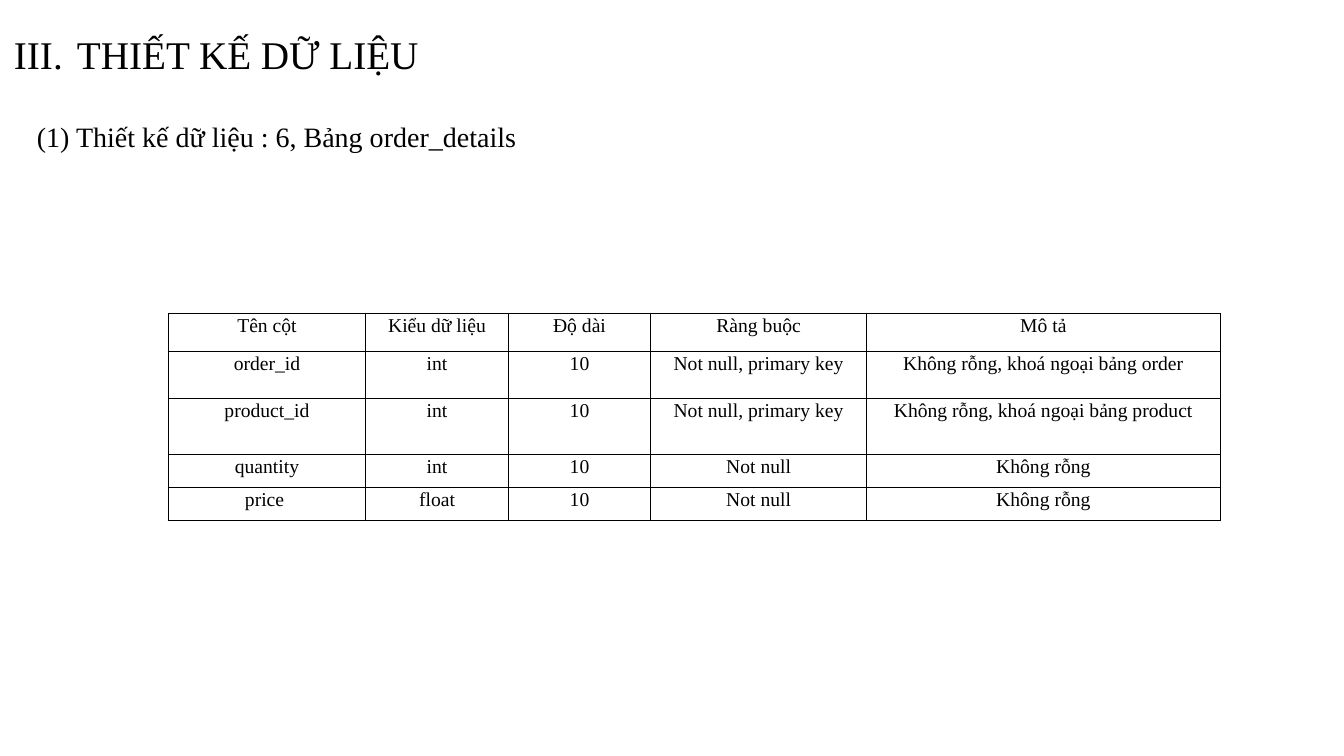
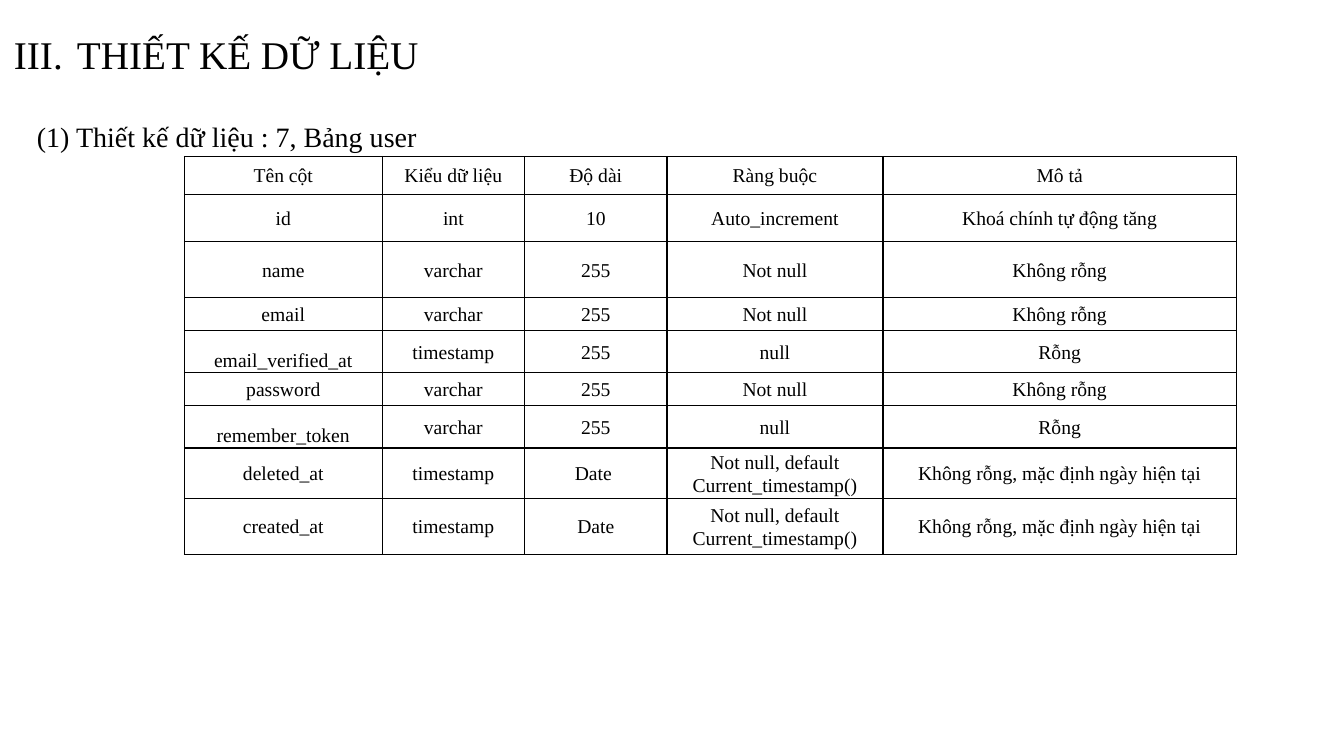
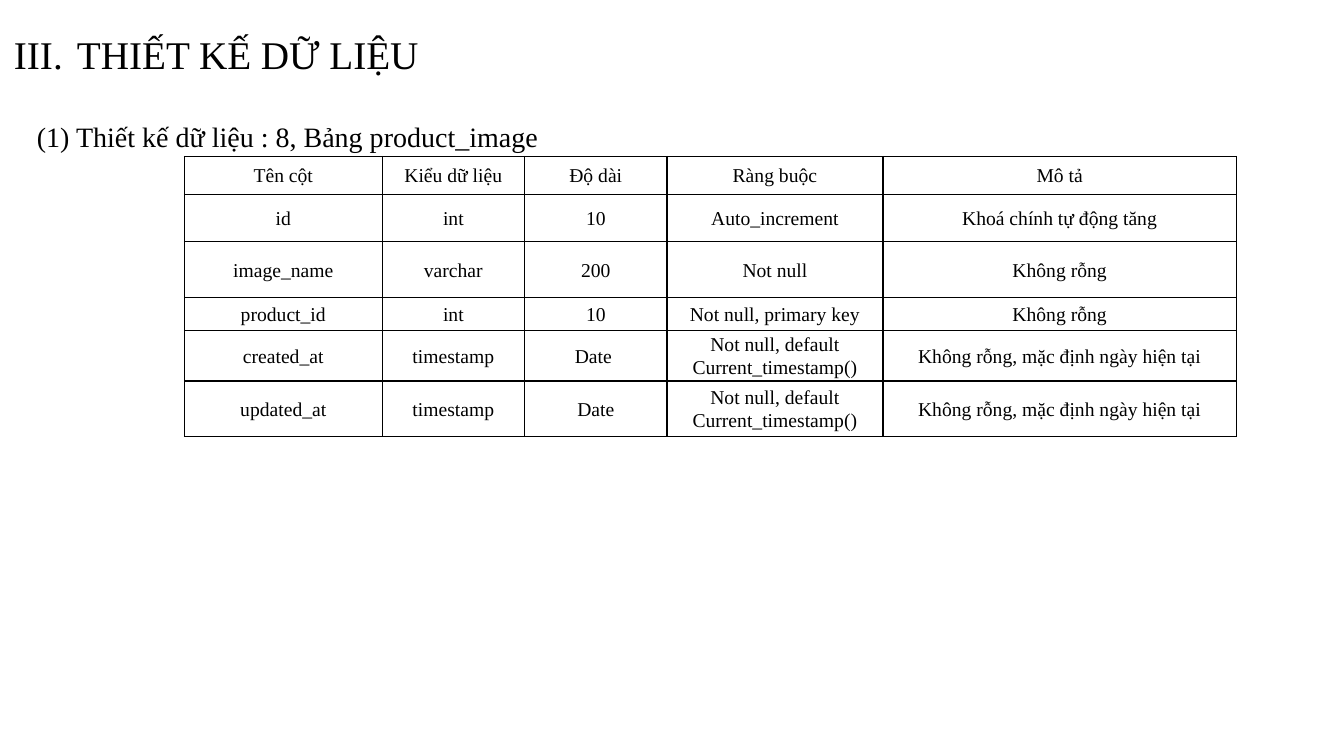
import pptx
import pptx.dml.color
import pptx.enum.text
import pptx.oxml.ns
import pptx.util
from lxml import etree

Cm = pptx.util.Cm
Pt = pptx.util.Pt
ANCHOR = pptx.enum.text.MSO_ANCHOR
qn = pptx.oxml.ns.qn

COLORS = {"text": "000000", "border": "000000"}
FONT = "Times New Roman"
COLS = [4.98, 3.59, 3.59, 5.44, 8.91]
HEADER = ["Tên cột", "Kiểu dữ liệu", "Độ dài", "Ràng buộc", "Mô tả"]
STAMP = ["Not null, default Current_timestamp()", "Không rỗng, mặc định ngày hiện tại"]
REQUIRED = ["Not null", "Không rỗng"]
OPTIONAL = ["null", "Rỗng"]
ID_ROW = ["id", "int", "10", "Auto_increment", "Khoá chính tự động tăng"]
HEAD, LOW, NOTCHED, MID, TALL = 0.96, 0.83, 1.01, 1.19, 1.41
NOTCH = 0.43

SLIDES = [
    {
        "subtitle": "(1) Thiết kế dữ liệu : 6, Bảng order_details",
        "left": 4.24, "top": 7.9, "anchor": ANCHOR.TOP,
        "rows": [
            (HEAD, HEADER),
            (MID, ["order_id", "int", "10", "Not null, primary key", "Không rỗng, khoá ngoại bảng order"]),
            (TALL, ["product_id", "int", "10", "Not null, primary key", "Không rỗng, khoá ngoại bảng product"]),
            (LOW, ["quantity", "int", "10"] + REQUIRED),
            (LOW, ["price ", "float", "10"] + REQUIRED),
        ],
    },
    {
        "subtitle": "(1) Thiết kế dữ liệu : 7, Bảng user",
        "left": 4.65, "top": 3.94, "anchor": ANCHOR.MIDDLE,
        "rows": [
            (HEAD, HEADER),
            (MID, ID_ROW),
            (TALL, ["name", "varchar", "255"] + REQUIRED),
            (LOW, ["email", "varchar", "255"] + REQUIRED),
            (NOTCHED, ["email_verified_at", "timestamp", "255"] + OPTIONAL),
            (LOW, ["password", "varchar", "255"] + REQUIRED),
            (NOTCHED, ["remember_token", "varchar", "255"] + OPTIONAL),
            (MID, ["deleted_at", "timestamp", "Date "] + STAMP),
            (TALL, ["created_at", "timestamp", "Date"] + STAMP),
        ],
    },
    {
        "subtitle": "(1) Thiết kế dữ liệu : 8, Bảng product_image",
        "left": 4.65, "top": 3.94, "anchor": ANCHOR.MIDDLE,
        "rows": [
            (HEAD, HEADER),
            (MID, ID_ROW),
            (TALL, ["image_name", "varchar", "200"] + REQUIRED),
            (LOW, ["product_id", "int", "10", "Not null, primary key", "Không rỗng"]),
            (MID, ["created_at", "timestamp", "Date "] + STAMP),
            (TALL, ["updated_at", "timestamp", "Date"] + STAMP),
        ],
    },
]


def write(tf, text, size, spacing):
    tf.word_wrap = True
    p = tf.paragraphs[0]
    p.line_spacing = spacing
    r = p.add_run()
    r.text = text
    r.font.name = FONT
    r.font.size = Pt(size)
    r.font.color.rgb = pptx.dml.color.RGBColor.from_string(COLORS["text"])
    return p


def add_text(s, box, text, size, spacing, anchor, margin, indent):
    tf = s.shapes.add_textbox(*[Cm(v) for v in box]).text_frame
    tf.margin_left = tf.margin_right = tf.margin_top = tf.margin_bottom = Cm(0.25)
    tf.vertical_anchor = anchor
    pPr = write(tf, text, size, spacing)._p.get_or_add_pPr()
    pPr.set("marL", str(Cm(margin)))
    pPr.set("indent", str(Cm(indent)))
    return pPr


prs = pptx.Presentation()
prs.slide_width = Cm(33.87)
prs.slide_height = Cm(19.05)

for content in SLIDES:
    s = prs.slides.add_slide(prs.slide_layouts[6])
    pPr = add_text(s, (0.1, 0, 29.21, 2.84), "THIẾT KẾ DỮ LIỆU", 28, 0.9, ANCHOR.MIDDLE, 1.59, -1.59)
    clr = etree.SubElement(pPr, qn("a:buClr"))
    etree.SubElement(clr, qn("a:srgbClr"), val=COLORS["text"])
    etree.SubElement(pPr, qn("a:buFont"), typeface=FONT)
    etree.SubElement(pPr, qn("a:buAutoNum"), type="romanUcPeriod", startAt="3")
    add_text(s, (0.2, 2.34, 33.2, 15.09), content["subtitle"], 20, 1.5, ANCHOR.TOP, 0.48, 0)

    rows = content["rows"]
    table = s.shapes.add_table(
        len(rows), len(COLS), Cm(content["left"]), Cm(content["top"]),
        Cm(sum(COLS)), Cm(sum(height for height, _ in rows)),
    ).table
    table.first_row = False
    table.horz_banding = False
    for column, width in zip(table.columns, COLS):
        column.width = Cm(width)
    for i, (height, texts) in enumerate(rows):
        table.rows[i].height = Cm(height)
        for j, text in enumerate(texts):
            cell = table.cell(i, j)
            cell.margin_left = cell.margin_right = Cm(0.18)
            cell.margin_top = Cm(NOTCH if height == NOTCHED and j == 0 else 0)
            cell.margin_bottom = 0
            cell.vertical_anchor = content["anchor"]
            p = write(cell.text_frame, text, 14, 1.07)
            p.alignment = pptx.enum.text.PP_ALIGN.CENTER
            tcPr = cell._tc.get_or_add_tcPr()
            for side in ("lnL", "lnR", "lnT", "lnB"):
                ln = etree.SubElement(tcPr, qn("a:" + side), w=str(Pt(1)))
                fill = etree.SubElement(ln, qn("a:solidFill"))
                etree.SubElement(fill, qn("a:srgbClr"), val=COLORS["border"])
            cell.fill.background()

prs.save("out.pptx")
